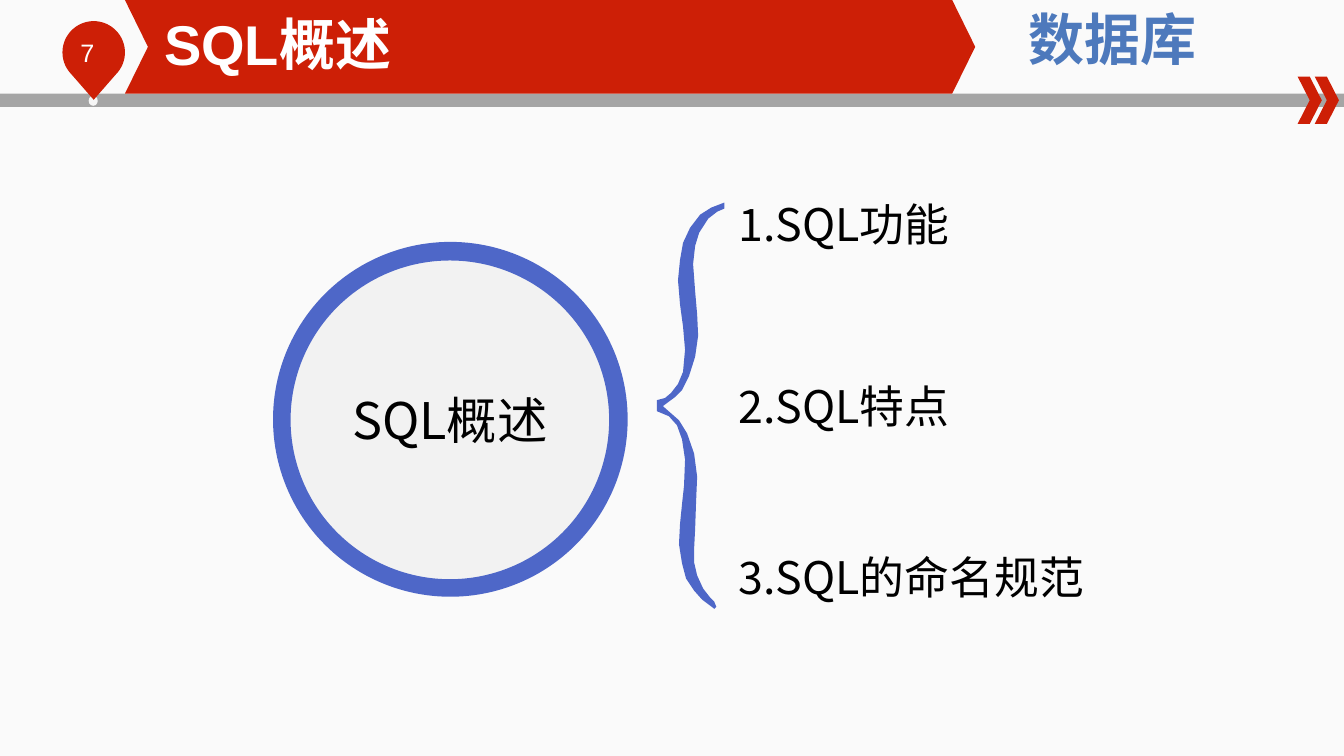
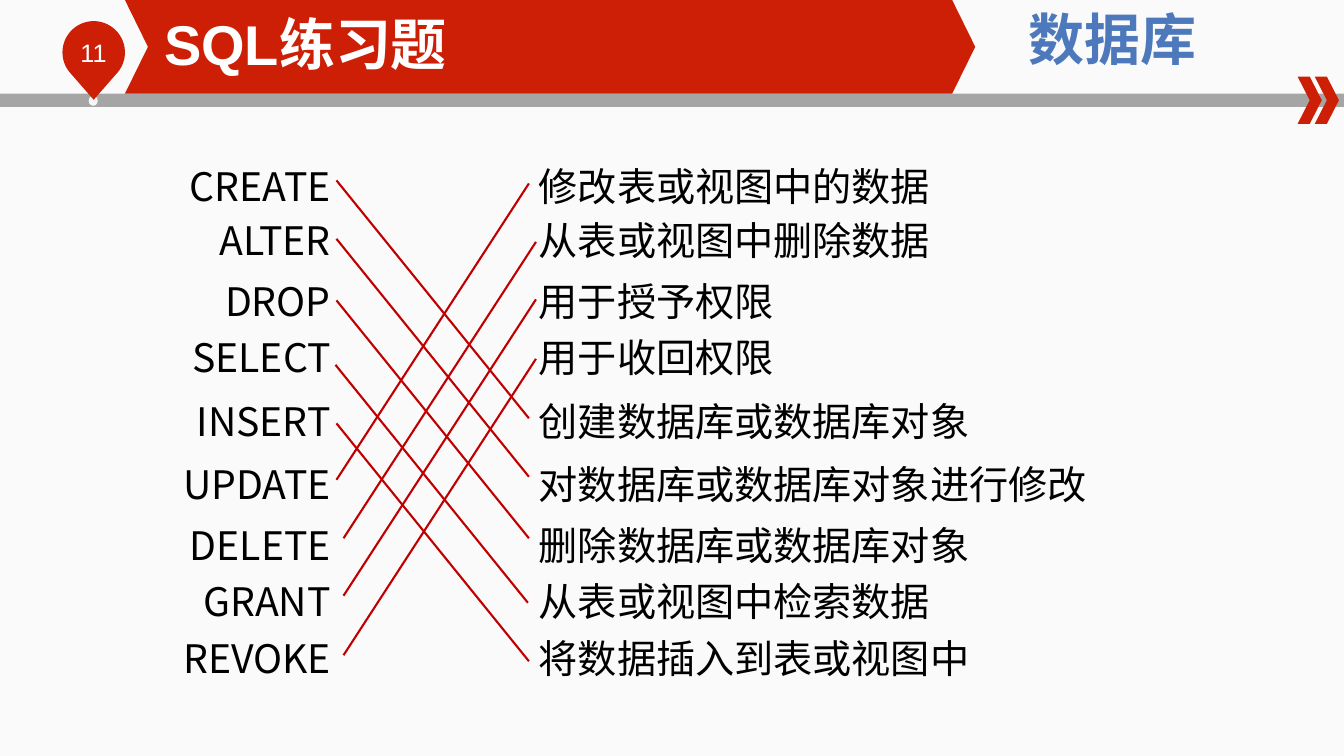
"""Builds two database lesson slides: an SQL overview and a matching exercise."""
from math import cos, radians, sin

from lxml.etree import SubElement
from pptx import Presentation
from pptx.dml.color import RGBColor
from pptx.enum.shapes import MSO_CONNECTOR, MSO_SHAPE
from pptx.enum.text import MSO_ANCHOR, PP_ALIGN
from pptx.oxml.ns import qn
from pptx.util import Inches, Pt

COLORS = {
    "red": "CD1F06", "grey": "A5A5A5", "dot": "F6F6F6", "white": "FFFFFF",
    "black": "000000", "blue": "4E67C8", "disc": "F2F2F2", "course": "4D79BC",
    "link": "C00000", "top": "FAFAFA", "bottom": "FCFCFC",
}
CJK = "Noto Sans CJK SC"
LATIN = "Arial"

BRACE = [
    (7.19, 2.07), (7.19, 2.01), (7.06, 2.06), (6.95, 2.13), (6.85, 2.26),
    (6.78, 2.41), (6.75, 2.58), (6.73, 2.78), (6.75, 3.02), (6.78, 3.24),
    (6.8, 3.47), (6.78, 3.69), (6.73, 3.81), (6.66, 3.9), (6.6, 3.95),
    (6.52, 3.97), (6.52, 4.08), (6.64, 4.13), (6.72, 4.22), (6.77, 4.36),
    (6.8, 4.56), (6.79, 4.82), (6.77, 5), (6.75, 5.2), (6.74, 5.4),
    (6.77, 5.59), (6.81, 5.74), (6.89, 5.86), (6.97, 5.95), (7.05, 6.01),
    (7.09, 6.04), (7.11, 6.02), (7.09, 5.97), (7.05, 5.93), (6.98, 5.84),
    (6.92, 5.71), (6.89, 5.58), (6.89, 5.45), (6.9, 5.25), (6.91, 4.97),
    (6.92, 4.73), (6.89, 4.5), (6.82, 4.3), (6.74, 4.17), (6.58, 4.03),
    (6.7, 3.94), (6.77, 3.87), (6.84, 3.73), (6.9, 3.54), (6.93, 3.33),
    (6.92, 3.12), (6.9, 2.89), (6.88, 2.62), (6.9, 2.44), (6.94, 2.31),
    (7.03, 2.17), (7.12, 2.1),
]
TOPICS = [("1.SQL功能", 1.9, 2.3), ("2.SQL特点", 3.71, 2.3), ("3.SQL的命名规范", 5.4, 3.64)]

ROW_TOPS = [1.51, 2.05, 2.65, 3.21, 3.84, 4.47, 5.07, 5.63, 6.19]
COMMANDS = ["CREATE", "ALTER", "DROP", "SELECT", "INSERT", "UPDATE", "DELETE", "GRANT", "REVOKE"]
MEANINGS = [
    "修改表或视图中的数据", "从表或视图中删除数据", "用于授予权限",
    "用于收回权限", "创建数据库或数据库对象", "对数据库或数据库对象进行修改",
    "删除数据库或数据库对象", "从表或视图中检索数据", "将数据插入到表或视图中",
]
LINK_STARTS = [
    (3.34, 1.79), (3.34, 2.37), (3.34, 2.98), (3.33, 3.62), (3.34, 4.2),
    (3.34, 4.76), (3.41, 5.34), (3.41, 5.91), (3.41, 6.5),
]
LINK_WIDTH, LINK_DROP, LINK_RISE = 1.91, 2.36, -2.94
JOINED = {"CREATE": 4, "UPDATE": 0}


class Lesson:
    """Holds the deck, the current page and the shared style."""

    def __init__(self):
        self.deck = Presentation()
        self.deck.slide_width = Inches(13.34)
        self.deck.slide_height = Inches(7.5)
        self.page = None

    def color(self, name):
        return RGBColor.from_string(COLORS[name])

    def paint(self, shape, fill):
        shape.shadow.inherit = False
        shape.fill.solid()
        shape.fill.fore_color.rgb = self.color(fill)
        shape.line.fill.background()
        return shape

    def shape(self, kind, left, top, width, height, fill, adjust=None):
        shape = self.page.shapes.add_shape(
            kind, Inches(left), Inches(top), Inches(width), Inches(height))
        if adjust is not None:
            shape.adjustments[0] = adjust
        return self.paint(shape, fill)

    def outline(self, points, fill):
        corners = [(Inches(x), Inches(y)) for x, y in points]
        builder = self.page.shapes.build_freeform(*corners[0])
        builder.add_line_segments(corners[1:], close=True)
        return self.paint(builder.convert_to_shape(), fill)

    def label(self, shape, text, size, color="black", font=CJK, bold=False,
              align=PP_ALIGN.LEFT, anchor=MSO_ANCHOR.TOP, spacing=None):
        frame = shape.text_frame
        frame.word_wrap = True
        frame.vertical_anchor = anchor
        frame.text = text
        para = frame.paragraphs[0]
        para.alignment = align
        if spacing:
            para.line_spacing = Pt(spacing)
        span = para.runs[0]
        span.font.size = Pt(size)
        span.font.bold = bold
        span.font.color.rgb = self.color(color)
        span.font.name = font
        SubElement(span.font._element, qn("a:ea")).set("typeface", CJK)
        return frame

    def text(self, text, left, top, width, height, size, **style):
        box = self.page.shapes.add_textbox(
            Inches(left), Inches(top), Inches(width), Inches(height))
        self.label(box, text, size, **style)
        return box

    def link(self, start, end, target=None):
        line = self.page.shapes.add_connector(
            MSO_CONNECTOR.STRAIGHT, *(Inches(value) for value in start + end))
        line.line.color.rgb = self.color("link")
        line.line.width = Pt(1.5)
        SubElement(line._element.spPr, qn("a:effectLst"))
        if target is not None:
            line.end_connect(target, 1)

    def start_page(self, number, title):
        self.page = self.deck.slides.add_slide(self.deck.slide_layouts[6])
        back = self.page.background.fill
        back.gradient()
        back.gradient_angle = 270
        for stop, name in zip(back.gradient_stops, ("top", "bottom")):
            stop.color.rgb = self.color(name)
        self.shape(MSO_SHAPE.RECTANGLE, 0, 0.93, 13.34, 0.13, "grey")
        self.shape(MSO_SHAPE.OVAL, 0.88, 0.95, 0.09, 0.1, "dot")
        arc = [radians(angle) for angle in range(135, 406, 5)]
        pin = [(0.93 + 0.31 * cos(angle), 0.52 + 0.31 * sin(angle)) for angle in arc]
        self.outline(pin + [(0.93, 0.99)], "red")
        self.text(number, 0.7, 0.32, 0.76, 0.4, 18, color="white", font=LATIN)
        for left in (12.88, 13.05):
            self.shape(MSO_SHAPE.CHEVRON, left, 0.76, 0.24, 0.47, "red", 0.5)
        self.shape(MSO_SHAPE.CHEVRON, 1.24, 0, 8.44, 0.93, "red", 0.246)
        self.text("数据库", 9.68, 0, 2.72, 0.77, 40, color="course", bold=True,
                  align=PP_ALIGN.CENTER)
        heading = self.text(title, 1.63, 0.09, 6.61, 0.67, 40, color="white",
                            font=LATIN, bold=True, anchor=MSO_ANCHOR.MIDDLE)
        frame = heading.text_frame
        frame.margin_left = frame.margin_right = 0
        frame.margin_top = frame.margin_bottom = 0


def build_overview(lesson):
    lesson.start_page("7", "SQL概述")
    lesson.shape(MSO_SHAPE.OVAL, 2.71, 2.4, 3.52, 3.52, "blue")
    disc = lesson.shape(MSO_SHAPE.OVAL, 2.87, 2.57, 3.19, 3.19, "disc")
    disc.line.color.rgb = lesson.color("blue")
    disc.line.width = Pt(2)
    frame = lesson.label(disc, "SQL概述", 36, align=PP_ALIGN.CENTER, anchor=MSO_ANCHOR.MIDDLE)
    frame.margin_left = frame.margin_right = Inches(0.15)
    lesson.outline(BRACE, "blue")
    for topic, top, width in TOPICS:
        lesson.text(topic, 7.23, top, width, 0.64, 32)


def build_exercise(lesson):
    lesson.start_page("11", "SQL练习题")
    style = {"anchor": MSO_ANCHOR.MIDDLE, "spacing": 37}
    meanings = []
    for command, meaning, top in zip(COMMANDS, MEANINGS, ROW_TOPS):
        lesson.text(command, 1.57, top, 1.81, 0.62, 28, align=PP_ALIGN.RIGHT, **style)
        meanings.append(lesson.text(meaning, 5.25, top, 6.22, 0.62, 28, **style))
    for row, (command, (x, y)) in enumerate(zip(COMMANDS, LINK_STARTS)):
        shift = LINK_DROP if row < 5 else LINK_RISE
        target = meanings[JOINED[command]] if command in JOINED else None
        lesson.link((x, y), (x + LINK_WIDTH, y + shift), target)


def main():
    lesson = Lesson()
    build_overview(lesson)
    build_exercise(lesson)
    lesson.deck.save("out.pptx")


if __name__ == "__main__":
    main()
